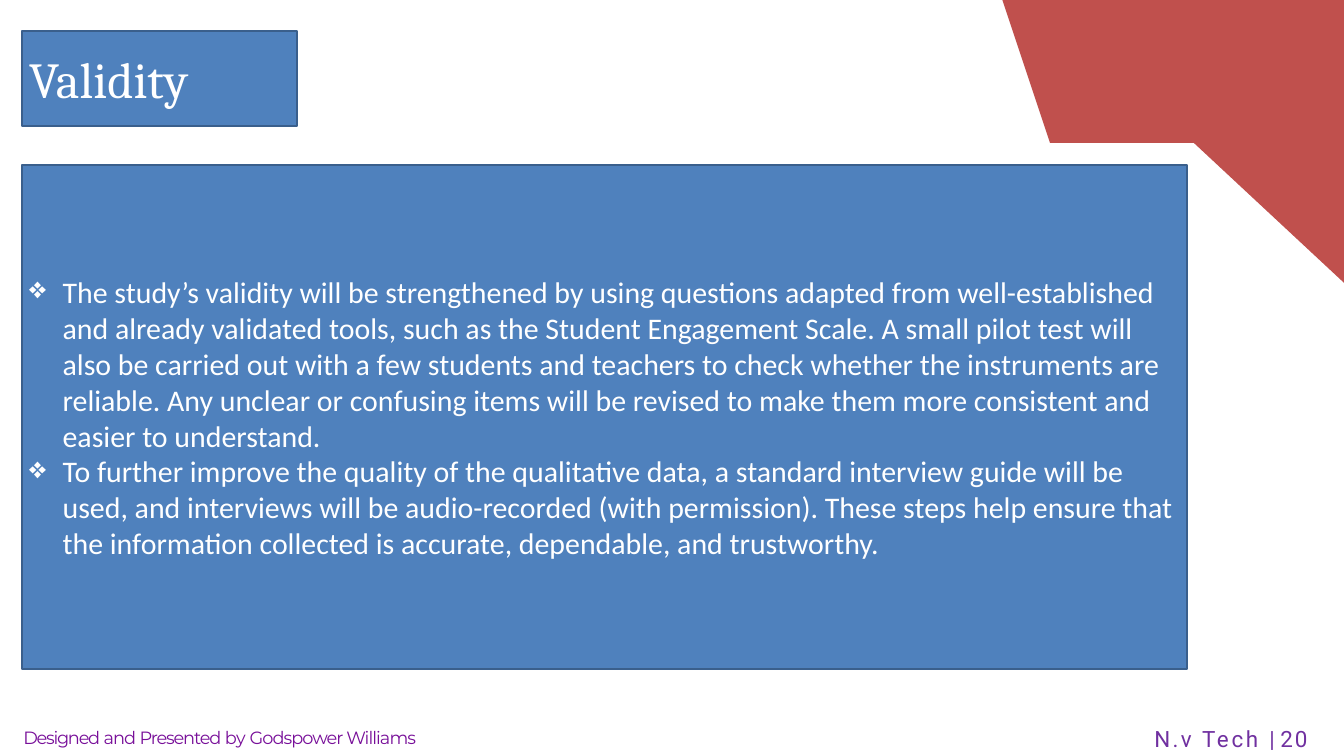
import pptx
import pptx.dml.color
import pptx.enum.shapes
import pptx.enum.text
import pptx.oxml
import pptx.oxml.ns
import pptx.util

Pt = pptx.util.Pt
RGB = pptx.dml.color.RGBColor
ANCHOR = pptx.enum.text.MSO_ANCHOR
AUTO_SIZE = pptx.enum.text.MSO_AUTO_SIZE
LEFT = pptx.enum.text.PP_ALIGN.LEFT

BLUE = RGB(0x4F, 0x81, 0xBD)
BORDER = RGB(0x3A, 0x5F, 0x8C)
RED = RGB(0xC0, 0x50, 0x4D)
WHITE = RGB(0xFF, 0xFF, 0xFF)
PURPLE = RGB(0x70, 0x30, 0xA0)
VIOLET = RGB(0x78, 0x0F, 0x99)

TITLE = "Validity"
BULLETS = [
    "The study’s validity will be strengthened by using questions adapted from "
    "well-established and already validated tools, such as the Student Engagement Scale. "
    "A small pilot test will also be carried out with a few students and teachers to check "
    "whether the instruments are reliable. Any unclear or confusing items will be revised "
    "to make them more consistent and easier to understand.",
    "To further improve the quality of the qualitative data, a standard interview guide "
    "will be used, and interviews will be audio-recorded (with permission). These steps "
    "help ensure that the information collected is accurate, dependable, and trustworthy.",
]
CREDIT = [("Designed ", -1.3), ("and ", -1.1), ("Presented ", -1.2), ("by ", -0.7),
          ("Godspower Williams", -1)]
PAGE_MARK = [("N.v ", 2.5), ("Tech ", 2.9), ("| ", 0), ("20", 2.2)]

WIDTH, HEIGHT = 1440, 810
MARGIN = 24
CORNER = [(WIDTH, 0), (1073.5, 0), (1124.6, 152.6), (1279.4, 152.6), (WIDTH, 303.1)]
INDENT = 36


def add_run(p, text, font, size, color, spacing=0):
    r = p.add_run()
    r.text = text
    r.font.name = font
    r.font.size = Pt(size)
    r.font.color.rgb = color
    if spacing:
        r._r.get_or_add_rPr().set("spc", str(round(spacing * 100)))


def add_bullet(p):
    pPr = p._p.get_or_add_pPr()
    pPr.set("marL", str(Pt(INDENT)))
    pPr.set("indent", str(Pt(-INDENT)))
    pPr.append(pptx.oxml.parse_xml(
        f'<a:buChar {pptx.oxml.ns.nsdecls("a")} char="❖"/>'))


def style_panel(sp):
    sp.fill.solid()
    sp.fill.fore_color.rgb = BLUE
    sp.line.color.rgb = BORDER
    sp.line.width = Pt(2)
    tf = sp.text_frame
    tf.word_wrap = True
    tf.auto_size = AUTO_SIZE.NONE
    tf.vertical_anchor = ANCHOR.MIDDLE
    return tf


def add_footer(s, box, runs, font, size, color, top=0, line=None):
    tf = s.shapes.add_textbox(*map(Pt, box)).text_frame
    tf.word_wrap = True
    tf.margin_left, tf.margin_top = Pt(0.9), Pt(top)
    tf.margin_right = tf.margin_bottom = 0
    p = tf.paragraphs[0]
    if line:
        p.line_spacing = Pt(line)
    for text, spacing in runs:
        add_run(p, text, font, size, color, spacing)


def main():
    prs = pptx.Presentation()
    prs.slide_width, prs.slide_height = Pt(WIDTH), Pt(HEIGHT)
    s = prs.slides.add_slide(prs.slide_layouts[5])

    builder = s.shapes.build_freeform(*CORNER[0], scale=Pt(1))
    builder.add_line_segments(CORNER[1:], close=True)
    corner = builder.convert_to_shape()
    corner.shadow.inherit = False
    corner.fill.solid()
    corner.fill.fore_color.rgb = RED
    corner.line.fill.background()

    title = s.shapes.title
    title.left, title.top, title.width, title.height = map(Pt, (MARGIN, 33, 294, 102))
    p = style_panel(title).paragraphs[0]
    p.alignment = LEFT
    add_run(p, TITLE, "Cambria", 54, WHITE)

    panel = s.shapes.add_shape(pptx.enum.shapes.MSO_SHAPE.RECTANGLE,
                               *map(Pt, (MARGIN, 177, 1248, 540)))
    panel.shadow.inherit = False
    tf = style_panel(panel)
    for i, text in enumerate(BULLETS):
        p = tf.add_paragraph() if i else tf.paragraphs[0]
        p.alignment = LEFT
        add_bullet(p)
        add_run(p, text, "Calibri", 32, WHITE)

    add_footer(s, (MARGIN, 777, 467, 24), CREDIT, "Montserrat", 19, VIOLET, top=1.7)
    add_footer(s, (1236, 778.5, 194, 28), PAGE_MARK, "Roboto", 24, PURPLE, line=26.9)
    prs.save("out.pptx")


if __name__ == "__main__":
    main()
